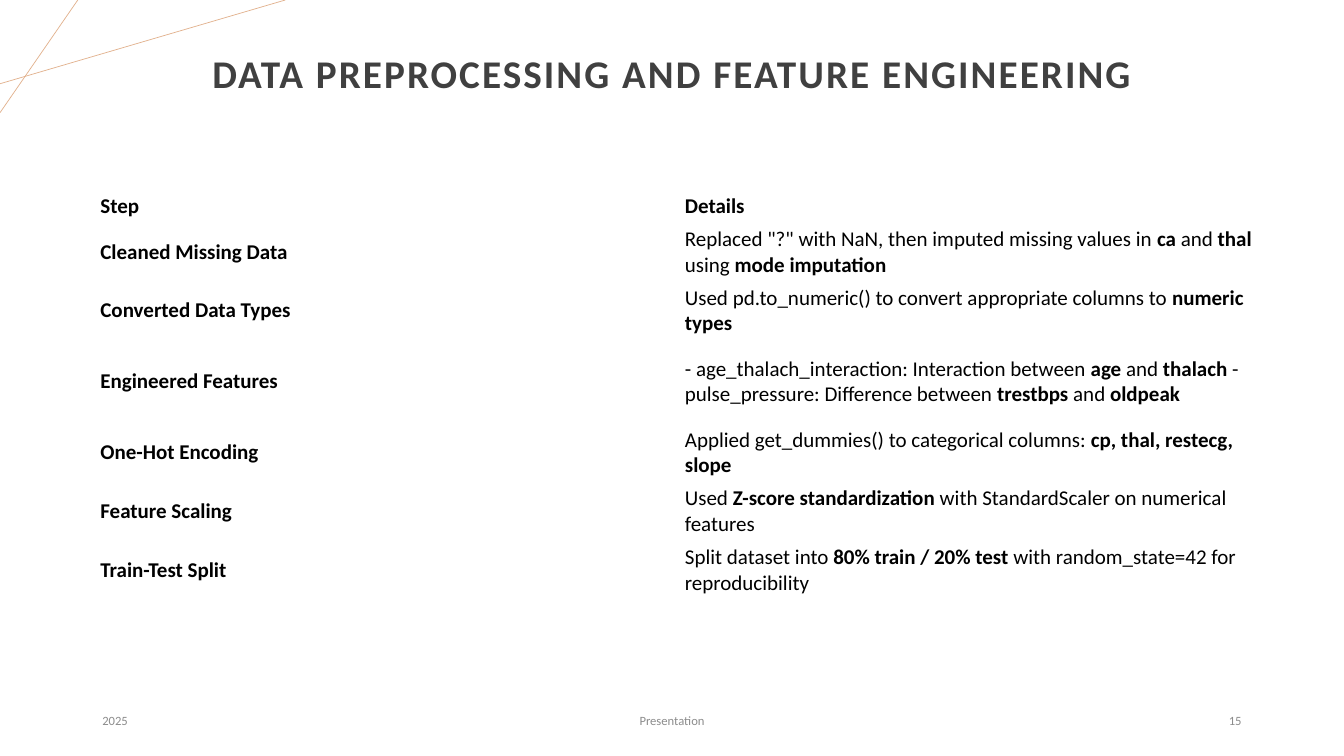
"""Build the data preprocessing and feature engineering slide."""
from lxml import etree
from pptx import Presentation
from pptx.dml.color import RGBColor
from pptx.enum.shapes import MSO_CONNECTOR
from pptx.enum.text import MSO_ANCHOR, PP_ALIGN
from pptx.oxml.ns import qn
from pptx.util import Cm, Pt

COLOURS = {"accent": "E2B18D", "title": "404040", "footer": "8C8C8C", "body": "000000"}
FORMATS = {
    "title": {"name": "Calibri", "size": Pt(28), "bold": True},
    "footer": {"name": "Calibri", "size": Pt(9), "bold": False},
    "body": {"name": "Calibri", "size": Pt(15)},
}
STEPS = [
    ("**Step**", "**Details**", 0.84),
    ("**Cleaned Missing Data**",
     'Replaced "?" with NaN, then imputed missing values in **ca** and **thal** using **mode imputation**', 1.48),
    ("**Converted Data Types**",
     "Used pd.to_numeric() to convert appropriate columns to **numeric types**", 1.48),
    ("**Engineered Features**",
     "- age_thalach_interaction: Interaction between **age** and **thalach**"
     " - pulse_pressure: Difference between **trestbps** and **oldpeak**", 2.1),
    ("**One-Hot Encoding**",
     "Applied get_dummies() to categorical columns: **cp, thal, restecg, slope**", 1.48),
    ("**Feature Scaling**",
     "Used **Z-score standardization** with StandardScaler on numerical features", 1.48),
    ("**Train-Test Split**",
     "Split dataset into **80% train / 20% test** with random_state=42 for reproducibility", 1.48),
]


def add_run(paragraph, text, style):
    """Add a run in one of the named formats."""
    run = paragraph.add_run()
    run.text = text
    for name, value in FORMATS[style].items():
        setattr(run.font, name, value)
    run.font.color.rgb = RGBColor.from_string(COLOURS[style])
    return run


def add_text(slide, box, text, style, alignment):
    """Add a vertically centred, wrapping text box."""
    frame = slide.shapes.add_textbox(*map(Cm, box)).text_frame
    frame.word_wrap = True
    frame.vertical_anchor = MSO_ANCHOR.MIDDLE
    frame.paragraphs[0].alignment = alignment
    return add_run(frame.paragraphs[0], text, style)


presentation = Presentation()
presentation.slide_width = Cm(33.87)
presentation.slide_height = Cm(19.05)
slide = presentation.slides.add_slide(presentation.slide_layouts[6])

for ends in [(0, 2.11, 7.19, 0), (1.96, 0, 0, 2.84)]:
    connector = slide.shapes.add_connector(MSO_CONNECTOR.STRAIGHT, *map(Cm, ends))
    connector.line.color.rgb = RGBColor.from_string(COLOURS["accent"])
    connector.line.width = Pt(0.5)
    etree.SubElement(connector._element.spPr, qn("a:effectLst"))

title = add_text(slide, (2.33, 0, 29.21, 3.68), "DATA PREPROCESSING AND FEATURE ENGINEERING",
                 "title", PP_ALIGN.CENTER)
title._r.get_or_add_rPr().set("spc", "150")

for left, width, text, alignment in [
    (2.33, 7.62, "2025", PP_ALIGN.LEFT),
    (11.22, 11.43, "Presentation", PP_ALIGN.CENTER),
    (23.92, 7.62, "15", PP_ALIGN.RIGHT),
]:
    add_text(slide, (left, 17.66, width, 1.01), text, "footer", alignment)

table_height = sum(height for _, _, height in STEPS)
table = slide.shapes.add_table(len(STEPS), 2, Cm(2.33), Cm(4.77), Cm(29.46), Cm(table_height)).table
table.first_row = False
table.horz_banding = False
for column in table.columns:
    column.width = Cm(14.73)

cell_format = {
    "margin_left": Cm(0.2), "margin_right": Cm(0.2),
    "margin_top": Cm(0.09), "margin_bottom": Cm(0.09),
    "vertical_anchor": MSO_ANCHOR.MIDDLE,
}
for row, (step, details, height) in zip(table.rows, STEPS):
    row.height = Cm(height)
    for cell, text in zip(row.cells, (step, details)):
        cell.fill.background()
        for name, value in cell_format.items():
            setattr(cell, name, value)
        for index, part in enumerate(text.split("**")):
            if part:
                add_run(cell.text_frame.paragraphs[0], part, "body").font.bold = index % 2 == 1

presentation.save("out.pptx")
